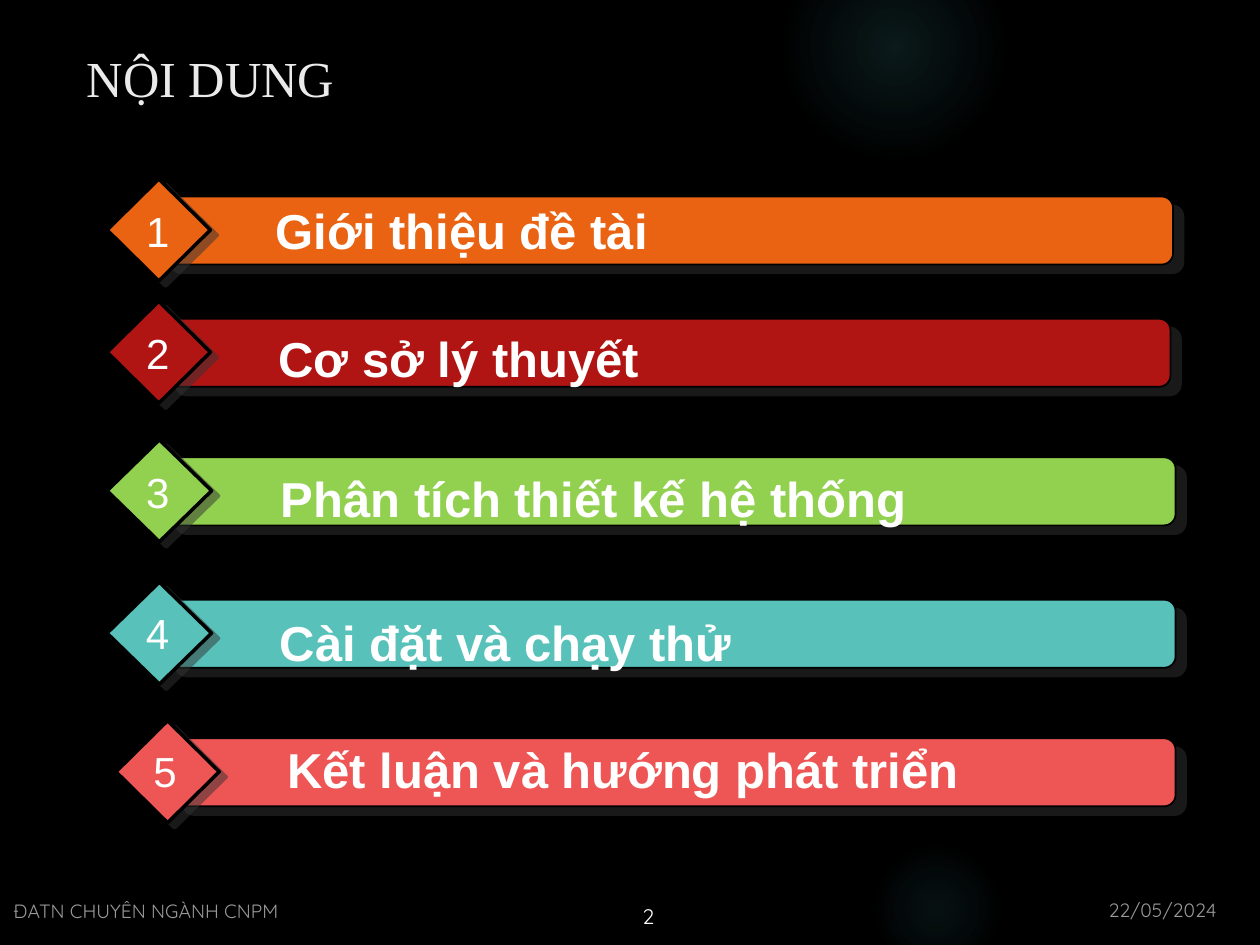
from collections import namedtuple
from dataclasses import dataclass

from pptx import Presentation
from pptx.dml.color import RGBColor
from pptx.enum.shapes import MSO_SHAPE
from pptx.enum.text import MSO_ANCHOR, MSO_AUTO_SIZE, PP_ALIGN
from pptx.oxml import parse_xml
from pptx.oxml.ns import nsdecls, qn
from pptx.util import Inches, Pt

Box = namedtuple("Box", "x y w h")
Row = namedtuple("Row", "num text fill bar gem label digit indent")


@dataclass(frozen=True)
class Theme:
    """Colours, fonts and type sizes of the slide."""
    back: str = "000000"
    white: str = "FFFFFF"
    title: str = "EBEBEB"
    shade: str = "333333"
    glow: str = "50B9C1"
    serif: str = "Times New Roman"
    sans: str = "Arial"
    round: str = "Quicksand"
    head: float = 28.8
    label: float = 28
    digit: float = 24
    foot: float = 11
    page: float = 12


THEME = Theme()
ROWS = [
    Row("1", "Giới thiệu đề tài", "EA6312", Box(1.27, 1.56, 8.04, 0.54),
        Box(0.85, 1.42, 0.82, 0.81), Box(0.75, 1.55, 9.25, 0.55),
        Box(1.09, 1.59, 0.32, 0.45), 1.37),
    Row("2", "Cơ sở lý thuyết", "B01513", Box(1.31, 2.53, 7.98, 0.54),
        Box(0.85, 2.39, 0.82, 0.81), Box(1.58, 2.57, 7.83, 0.55),
        Box(1.09, 2.56, 0.32, 0.45), 0.56),
    Row("3", "Phân tích thiết kế hệ thống", "92D050", Box(1.31, 3.63, 8.02, 0.54),
        Box(0.85, 3.49, 0.83, 0.81), Box(1.6, 3.68, 7.71, 0.55),
        Box(1.09, 3.66, 0.32, 0.45), 0.56),
    Row("4", "Cài đặt và chạy thử", "58C1BA", Box(1.31, 4.76, 8.02, 0.54),
        Box(0.85, 4.62, 0.83, 0.81), Box(1.59, 4.82, 7.71, 0.55),
        Box(1.08, 4.78, 0.34, 0.48), 0.56),
    Row("5", "Kết luận và hướng phát triển", "ED5654", Box(1.37, 5.86, 7.96, 0.54),
        Box(0.92, 5.72, 0.82, 0.81), Box(1.65, 5.83, 7.65, 0.55),
        Box(1.14, 5.88, 0.34, 0.48), 0.56),
]


def place(box):
    """Turn a box in inches into lengths."""
    return [Inches(n) for n in box]


def color(code):
    """Turn a hex code into a colour."""
    return RGBColor.from_string(code)


def write(shapes, box, text, font, size, tint, bold=False, alpha=None,
          anchor=MSO_ANCHOR.TOP, align=PP_ALIGN.LEFT):
    """Add a text box with one run and return it."""
    item = shapes.add_textbox(*place(box))
    frame = item.text_frame
    frame.word_wrap = True
    frame.vertical_anchor = anchor
    para = frame.paragraphs[0]
    para.alignment = align
    run = para.add_run()
    run.text = text
    run.font.name, run.font.size, run.font.bold = font, Pt(size), bold
    run.font.color.rgb = color(tint)
    if alpha:
        tone = run.font._element.find(".//" + qn("a:srgbClr"))
        tone.append(parse_xml(f'<a:alpha {nsdecls("a")} val="{alpha * 1000}"/>'))
    return item


def tighten(item):
    """Give a row text its narrow margins and let its box grow."""
    frame = item.text_frame
    frame.margin_left = frame.margin_right = Inches(0.07)
    frame.margin_top = frame.margin_bottom = Inches(0.04)
    frame.auto_size = MSO_AUTO_SIZE.SHAPE_TO_FIT_TEXT


def block(shapes, kind, box, fill, width, dist, angle):
    """Add a filled, outlined shape with a hard shadow."""
    item = shapes.add_shape(kind, *place(box))
    item.fill.solid()
    item.fill.fore_color.rgb = color(fill)
    item.line.color.rgb = color(THEME.back)
    item.line.width = Pt(width)
    item.shadow.inherit = False
    item._element.spPr.find(qn("a:effectLst")).append(parse_xml(
        f'<a:outerShdw {nsdecls("a")} dist="{Pt(dist)}" dir="{angle * 60000}" '
        f'algn="ctr" rotWithShape="0"><a:srgbClr val="{THEME.shade}">'
        '<a:alpha val="50000"/></a:srgbClr></a:outerShdw>'))


def add_glow(slide, box, stops):
    """Add a soft round glow that fades out."""
    item = slide.shapes.add_shape(MSO_SHAPE.OVAL, *place(box))
    item.shadow.inherit = False
    item.line.fill.background()
    item.fill.gradient()
    marks = "".join(
        f'<a:gs pos="{pos * 1000}"><a:srgbClr val="{THEME.glow}">'
        f'<a:alpha val="{alpha * 1000}"/></a:srgbClr></a:gs>'
        for pos, alpha in stops)
    props = item._element.spPr
    props.replace(props.find(qn("a:gradFill")), parse_xml(
        f'<a:gradFill {nsdecls("a")}><a:gsLst>{marks}</a:gsLst><a:path path="circle">'
        '<a:fillToRect l="50000" t="50000" r="50000" b="50000"/></a:path></a:gradFill>'))


def add_row(slide, row):
    """Add one agenda row: bar, diamond, label and number."""
    shapes = slide.shapes.add_group_shape().shapes
    block(shapes, MSO_SHAPE.ROUNDED_RECTANGLE, row.bar, row.fill, 1, 7.8, 40)
    block(shapes, MSO_SHAPE.DIAMOND, row.gem, row.fill, 2, 5, 37)
    label = write(shapes, row.label, row.text, THEME.sans, THEME.label,
                  THEME.white, bold=True, align=PP_ALIGN.JUSTIFY)
    props = label.text_frame.paragraphs[0]._p.get_or_add_pPr()
    props.set("marL", str(Inches(row.indent)))
    props.set("indent", "0")
    digit = write(shapes, row.digit, row.num, THEME.sans, THEME.digit,
                  THEME.white, align=PP_ALIGN.CENTER)
    digit.text_frame.word_wrap = False
    for item in (label, digit):
        tighten(item)


def add_title(slide, box):
    """Add the slide title."""
    write(slide.shapes, box, "NỘI DUNG", THEME.serif, THEME.head, THEME.title,
          anchor=MSO_ANCHOR.MIDDLE)


def add_footer(slide, box):
    """Add the date, course name and page number."""
    x, y, w, h = box
    write(slide.shapes, Box(x + w - 1.24, y, 1.24, 0.29), "22/05/2024",
          THEME.round, THEME.foot, THEME.white, alpha=60)
    write(slide.shapes, Box(x, y + 0.04, 4.22, 0.25), "ĐATN CHUYÊN NGÀNH CNPM",
          THEME.round, THEME.foot, THEME.white, alpha=60, anchor=MSO_ANCHOR.BOTTOM)
    write(slide.shapes, Box(x + 4.99, y + 0.04, 0.56, 0.29), "2",
          THEME.round, THEME.page, THEME.white)


def main():
    """Build and save the agenda slide."""
    deck = Presentation()
    deck.slide_width, deck.slide_height = Inches(10), Inches(7.5)
    slide = deck.slides.add_slide(deck.slide_layouts[6])
    slide.background.fill.solid()
    slide.background.fill.fore_color.rgb = color(THEME.back)
    add_glow(slide, Box(6.22, -0.5, 1.75, 1.75), [(0, 14), (36, 7), (73, 0)])
    add_glow(slide, Box(6.89, 6.67, 1.08, 1.08), [(0, 9), (36, 5), (66, 0)])
    add_title(slide, Box(0.59, 0.3, 8.09, 0.62))
    for row in ROWS:
        add_row(slide, row)
    add_footer(slide, Box(0.01, 7.08, 9.93, 0.33))
    deck.save("out.pptx")


if __name__ == "__main__":
    main()
